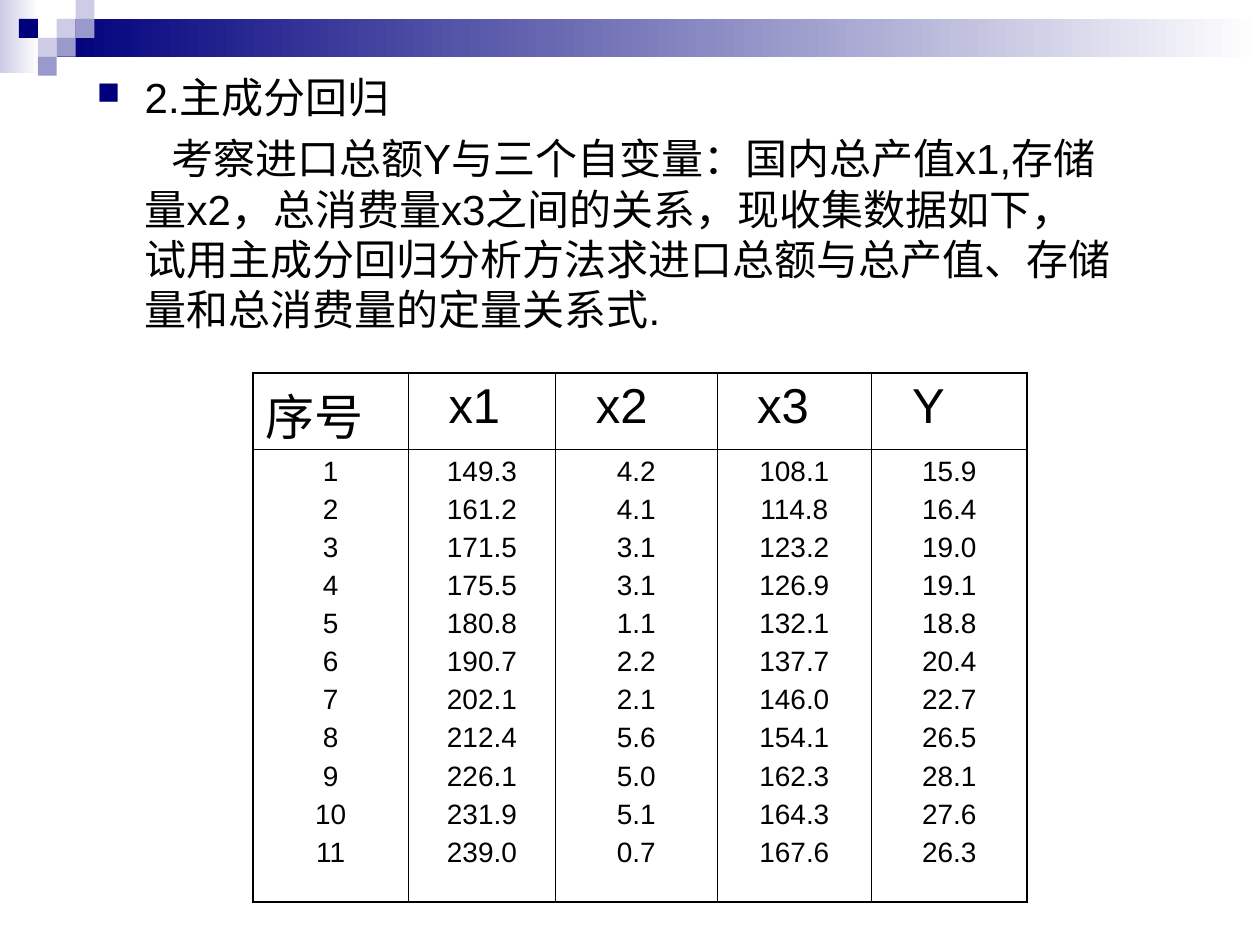
from lxml.etree import SubElement
from pptx import Presentation
from pptx.dml.color import RGBColor
from pptx.enum.shapes import MSO_SHAPE as Shape
from pptx.enum.text import PP_ALIGN as Align
from pptx.oxml.ns import qn
from pptx.util import Inches, Pt

NAVY, LILAC, VIOLET = "00007D", "CCCCE6", "9999CC"
BLACK, WHITE = "000000", "FFFFFF"


def rgb(color):
    return RGBColor.from_string(color)


def add_rectangle(left, top, width, height, color):
    shape = slide.shapes.add_shape(
        Shape.RECTANGLE, Inches(left), Inches(top), Inches(width), Inches(height))
    shape.shadow.inherit = False
    shape.line.fill.background()
    shape.fill.solid()
    shape.fill.fore_color.rgb = rgb(color)
    return shape


presentation = Presentation()
presentation.slide_width = Inches(10)
presentation.slide_height = Inches(7.5)
slide = presentation.slides.add_slide(presentation.slide_layouts[6])

# Header band: two gradients, then a mosaic of small squares
for left, top, width, height, color in [
    (0, 0, 0.31, 0.58, LILAC),
    (0.45, 0.15, 9.55, 0.3, NAVY),
]:
    fill = add_rectangle(left, top, width, height, color).fill
    fill.gradient()
    fill.gradient_angle = 180
    for stop, stop_color in zip(fill.gradient_stops, (WHITE, color)):
        stop.color.rgb = rgb(stop_color)

SQUARE = 0.15
for column, row, color in [
    (3, 1, LILAC), (4, 0, LILAC), (4, 1, VIOLET), (2, 2, LILAC),
    (1, 1, NAVY), (3, 2, VIOLET), (2, 3, VIOLET),
]:
    add_rectangle(column * SQUARE, row * SQUARE, SQUARE, SQUARE, color)

# Heading and problem statement
body = slide.shapes.add_textbox(Inches(0.67), Inches(0.52), Inches(8.28), Inches(4.25))
text_frame = body.text_frame
text_frame.word_wrap = True
text_frame.text = (
    "2.主成分回归\n"
    "考察进口总额Y与三个自变量：国内总产值x1,存储量x2，总消费量x3之间的关系，"
    "现收集数据如下，试用主成分回归分析方法求进口总额与总产值、"
    "存储量和总消费量的定量关系式."
)
heading, statement = text_frame.paragraphs
for paragraph, first_indent in [(heading, -0.38), (statement, 0.21)]:
    properties = paragraph._p.get_or_add_pPr()
    properties.set("marL", str(Inches(0.38)))
    properties.set("indent", str(Inches(first_indent)))
bullet = heading._p.get_or_add_pPr()
SubElement(SubElement(bullet, qn("a:buClr")), qn("a:srgbClr"), val=NAVY)
SubElement(bullet, qn("a:buSzPct"), val="75000")
SubElement(bullet, qn("a:buChar"), char="■")
statement.space_before = Pt(6)
for paragraph in text_frame.paragraphs:
    for run in paragraph.runs:
        run.font.name = "Arial"
        run.font.size = Pt(24)
        run.font.color.rgb = rgb(BLACK)

# Data table: one header row, one tall row holding each column's values
columns = [
    ("序号", 1.23, [str(number) for number in range(1, 12)]),
    ("x1", 1.17, ["149.3", "161.2", "171.5", "175.5", "180.8", "190.7",
                  "202.1", "212.4", "226.1", "231.9", "239.0"]),
    ("x2", 1.28, ["4.2", "4.1", "3.1", "3.1", "1.1", "2.2",
                  "2.1", "5.6", "5.0", "5.1", "0.7"]),
    ("x3", 1.23, ["108.1", "114.8", "123.2", "126.9", "132.1", "137.7",
                  "146.0", "154.1", "162.3", "164.3", "167.6"]),
    ("Y", 1.23, ["15.9", "16.4", "19.0", "19.1", "18.8", "20.4",
                 "22.7", "26.5", "28.1", "27.6", "26.3"]),
]
table = slide.shapes.add_table(
    2, len(columns), Inches(2.01), Inches(2.96), Inches(6.14), Inches(4.2)).table
table.first_row = False
table.horz_banding = False
table.rows[0].height = Inches(0.61)
table.rows[1].height = Inches(3.59)

last_column = len(columns) - 1
for column, (title, width, values) in enumerate(columns):
    table.columns[column].width = Inches(width)
    for row, text in enumerate([title, "\n".join(values)]):
        cell = table.cell(row, column)
        cell.text_frame.text = text
        for index, paragraph in enumerate(cell.text_frame.paragraphs):
            if row == 1:
                paragraph.alignment = Align.CENTER
                if index > 0:
                    paragraph.space_before = Pt(4)
            elif column > 0:
                paragraph._p.get_or_add_pPr().set("marL", str(Inches(0.22)))
            font = paragraph.runs[0].font
            font.name = "Arial"
            font.size = Pt(16 if row == 1 else 28)
            font.color.rgb = rgb(BLACK)

        cell_properties = cell._tc.get_or_add_tcPr()
        for side, is_outer in [
            ("L", column == 0), ("R", column == last_column),
            ("T", row == 0), ("B", row == 1),
        ]:
            border = SubElement(cell_properties, qn(f"a:ln{side}"),
                                w=str(Pt(1.08 if is_outer else 0.45)))
            SubElement(SubElement(border, qn("a:solidFill")), qn("a:srgbClr"), val=BLACK)
        cell.fill.background()

presentation.save("out.pptx")
